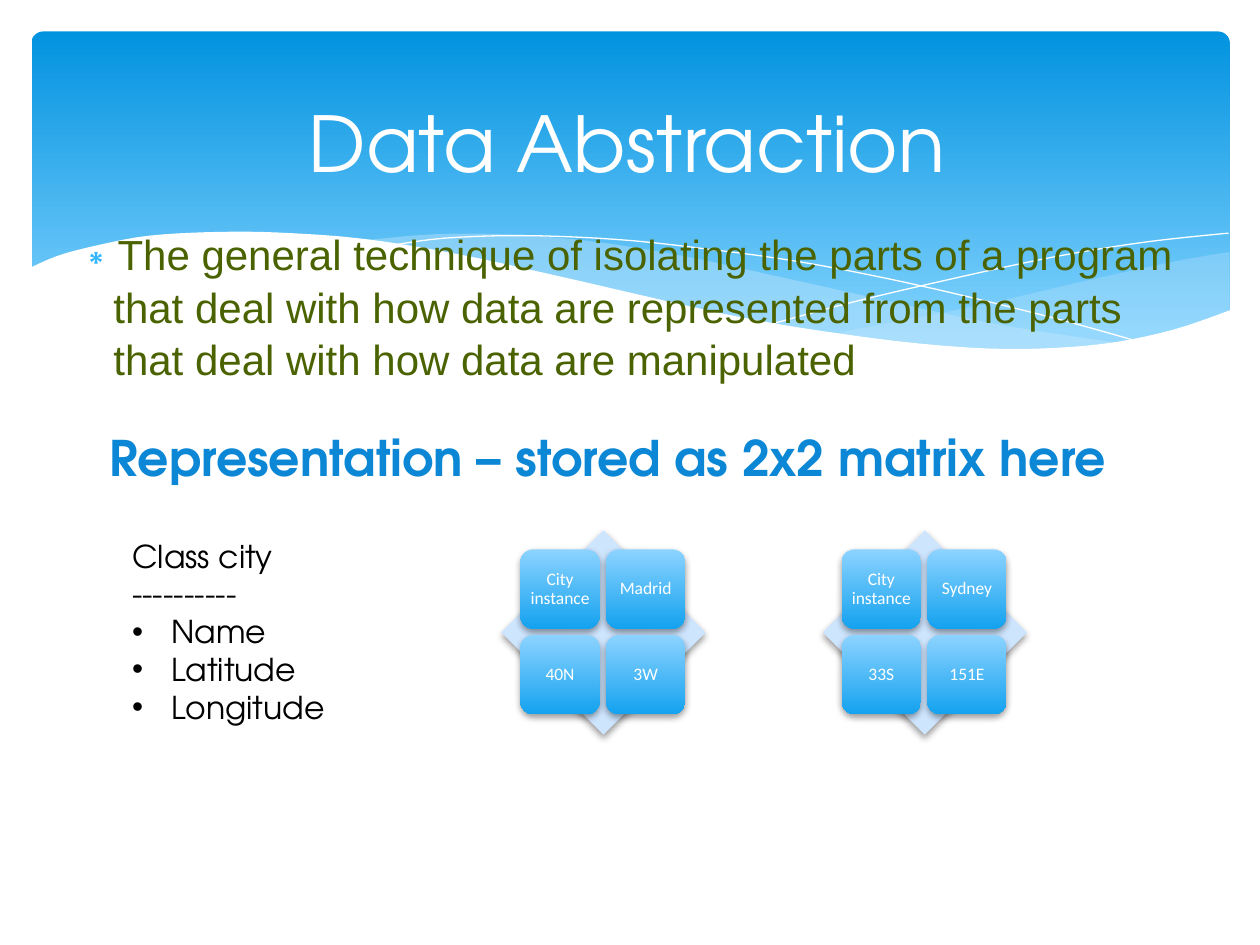
from lxml import etree
from pptx import Presentation
from pptx.dml.color import RGBColor
from pptx.enum.shapes import MSO_SHAPE
from pptx.enum.text import MSO_ANCHOR, MSO_AUTO_SIZE, PP_ALIGN
from pptx.oxml.ns import qn
from pptx.util import Inches, Pt

ROUNDED, DIAMOND = MSO_SHAPE.ROUNDED_RECTANGLE, MSO_SHAPE.DIAMOND
CENTER, LEFT = PP_ALIGN.CENTER, PP_ALIGN.LEFT
TOP, MIDDLE = MSO_ANCHOR.TOP, MSO_ANCHOR.MIDDLE
DISPLAY, BODY, SMALL = "TeX Gyre Adventor", "Arial", "Calibri"

COLORS = {
    "white": "FFFFFF", "black": "000000", "olive": "4A6300", "heading": "0B87D6",
    "bullet": "31B6FD", "wave": "C6E7FC", "diamond": "CEE5FE",
    "banner_top": "0293E0", "banner_bottom": "83D3FE",
    "tile_top": "8CD3FF", "tile_bottom": "14A2EF",
}

TITLE = "Data Abstraction"
DEFINITION = ("The general technique of isolating the parts of a program that deal with how data "
              "are represented from the parts that deal with how data are manipulated")
HEADING = "Representation – stored as 2x2 matrix here"
CLASS_HEADER = ["Class city", "----------"]
CLASS_FIELDS = ["Name", "Latitude", "Longitude"]
MATRICES = [  # left edge, cells row by row
    (3.98, ["City instance", "Madrid", "40N", "3W"]),
    (6.53, ["City instance", "Sydney", "33S", "151E"]),
]
MATRIX_TOP, MATRIX_SIZE = 4.21, 1.62
TILE_MARGIN, TILE_SIZE, TILE_STEP = 0.15, 0.63, 0.68

# Each wave is a list of smooth edges, joined by straight lines.
FILLED_WAVES = [  # edges, colour, opacity in percent
    ([[(9.76, 2), (9.35, 2.07), (8.61, 2.23), (7.79, 2.42), (6.61, 2.65)],
      [(6.61, 2.65), (7.05, 2.71), (7.57, 2.76), (8.14, 2.78), (8.72, 2.74),
       (9.21, 2.65), (9.76, 2.47)]], "wave", 29),
    ([[(8.93, 2.73), (8.07, 2.6), (7.41, 2.47), (6.29, 2.22), (5.41, 2.03), (4.65, 1.91),
       (3.99, 1.86), (3.44, 1.86), (2.86, 1.91)],
      [(2.86, 1.91), (3.62, 2.03), (4.49, 2.22), (5.3, 2.4), (6.01, 2.55), (6.8, 2.68),
       (7.48, 2.76), (8.18, 2.78), (8.93, 2.73)]], "wave", 40),
]
WAVE_LINES = [
    [(3.09, 1.95), (3.53, 1.89), (4.16, 1.87), (4.89, 1.9), (5.56, 1.97), (6.36, 2.08),
     (7.27, 2.26), (8.31, 2.51), (9.07, 2.72)],
    [(6.13, 2.57), (6.72, 2.41), (7.48, 2.23), (8.36, 2.04), (9.1, 1.92), (9.75, 1.85)],
]
WHITE_WAVE = [
    [(9.77, 2.46), (9.3, 2.62), (8.75, 2.73), (8.09, 2.77), (7.44, 2.74), (6.68, 2.65),
     (5.79, 2.5), (4.47, 2.2), (3.65, 2.02), (2.92, 1.9), (2.3, 1.85), (1.77, 1.84),
     (1.19, 1.87), (0.76, 1.95), (0.46, 2.03), (0.23, 2.13)],
    [(0.23, 3.29), (9.77, 3.29)],
]


def rgb(name):
    return RGBColor.from_string(COLORS[name])


def smooth(knots, steps=5):
    """Sample a Catmull-Rom curve through the knots."""
    if len(knots) < 3:
        return knots
    padded = [knots[0], *knots, knots[-1]]
    points = []
    for a, b, c, d in zip(padded, padded[1:], padded[2:], padded[3:]):
        for step in range(steps):
            t = step / steps
            points.append(tuple(
                0.5 * (2 * q + (r - p) * t + (2 * p - 5 * q + 4 * r - s) * t ** 2
                       + (3 * q - p - 3 * r + s) * t ** 3)
                for p, q, r, s in zip(a, b, c, d)))
    return points + [knots[-1]]


def add_curve(slide, edges, close):
    points = [(Inches(x), Inches(y)) for edge in edges for x, y in smooth(edge)]
    builder = slide.shapes.build_freeform(*points[0])
    builder.add_line_segments(points[1:], close=close)
    shape = builder.convert_to_shape()
    shape.shadow.inherit = False
    return shape


def add_filled_wave(slide, edges, color, opacity=100):
    shape = add_curve(slide, edges, True)
    shape.fill.solid()
    shape.fill.fore_color.rgb = rgb(color)
    shape.line.fill.background()
    if opacity < 100:
        color_element = shape.fill._xPr.find(qn("a:solidFill"))[0]
        etree.SubElement(color_element, qn("a:alpha"), val=str(opacity * 1000))


def add_wave_line(slide, knots):
    shape = add_curve(slide, [knots], False)
    shape.fill.background()
    shape.line.color.rgb = rgb("white")
    shape.line.width = Pt(0)


def add_preset(slide, kind, left, top, width, height, *colors):
    """Add a shape without outline; two colours make a gradient from top to bottom."""
    shape = slide.shapes.add_shape(kind, *map(Inches, (left, top, width, height)))
    shape.shadow.inherit = False
    shape.line.fill.background()
    if len(colors) == 1:
        shape.fill.solid()
        shape.fill.fore_color.rgb = rgb(colors[0])
    else:
        shape.fill.gradient()
        shape.fill.gradient_angle = 270
        for stop, color in zip(shape.fill.gradient_stops, colors):
            stop.color.rgb = rgb(color)
    return shape


def add_shadow(shape):
    effects = shape._element.spPr.find(qn("a:effectLst"))
    shadow = etree.SubElement(effects, qn("a:outerShdw"), blurRad=str(Pt(4)), dist=str(Pt(2)),
                              dir="5400000", rotWithShape="0")
    color = etree.SubElement(shadow, qn("a:srgbClr"), val=COLORS["black"])
    etree.SubElement(color, qn("a:alpha"), val="38000")


def write(shape, lines, font, size, color, bold=False, align=LEFT, anchor=TOP):
    frame = shape.text_frame
    frame.text = "\n".join(lines)
    frame.word_wrap = True
    frame.auto_size = MSO_AUTO_SIZE.NONE
    frame.vertical_anchor = anchor
    for paragraph in frame.paragraphs:
        paragraph.alignment = align
        paragraph.font.name, paragraph.font.size = font, Pt(size)
        paragraph.font.bold = bold
        paragraph.font.color.rgb = rgb(color)
    return frame


def set_bullet(paragraph, character, indent, color):
    properties = paragraph._p.get_or_add_pPr()
    properties.set("marL", str(Inches(indent)))
    properties.set("indent", str(-Inches(indent)))
    bullet_color = etree.SubElement(properties, qn("a:buClr"))
    etree.SubElement(bullet_color, qn("a:srgbClr"), val=COLORS[color])
    etree.SubElement(properties, qn("a:buFont"), typeface=BODY)
    etree.SubElement(properties, qn("a:buChar"), char=character)


def place(shape, left, top, width, height):
    shape.left, shape.top, shape.width, shape.height = map(Inches, (left, top, width, height))
    shape._element.getparent().append(shape._element)  # bring to front


def add_text_box(slide, left, top, width, height, *text, **style):
    box = slide.shapes.add_textbox(*map(Inches, (left, top, width, height)))
    return write(box, *text, **style)


def add_matrix(slide, left, cells):
    add_shadow(add_preset(slide, DIAMOND, left, MATRIX_TOP, MATRIX_SIZE, MATRIX_SIZE, "diamond"))
    for index, label in enumerate(cells):
        row, column = divmod(index, 2)
        tile = add_preset(slide, ROUNDED, left + TILE_MARGIN + column * TILE_STEP,
                          MATRIX_TOP + TILE_MARGIN + row * TILE_STEP,
                          TILE_SIZE, TILE_SIZE, "tile_top", "tile_bottom")
        add_shadow(tile)
        frame = write(tile, [label], SMALL, 10, "white", align=CENTER, anchor=MIDDLE)
        frame.margin_left = frame.margin_right = Inches(0.04)
        frame.margin_top = frame.margin_bottom = Inches(0.04)
        frame.paragraphs[0].line_spacing = 0.9


def main():
    presentation = Presentation()
    presentation.slide_width, presentation.slide_height = Inches(10), Inches(7.5)
    slide = presentation.slides.add_slide(presentation.slide_layouts[1])

    banner = add_preset(slide, ROUNDED, 0.25, 0.25, 9.51, 2.7, "banner_top", "banner_bottom")
    banner.adjustments[0] = 0.034
    banner.fill.gradient_stops[1].position = 0.9
    for wave in FILLED_WAVES:
        add_filled_wave(slide, *wave)
    for knots in WAVE_LINES:
        add_wave_line(slide, knots)
    add_filled_wave(slide, WHITE_WAVE, "white")

    title, body = slide.shapes.title, slide.placeholders[1]
    place(body, 0.5, 1.75, 9.09, 5.36)
    definition = write(body, [DEFINITION], BODY, 24, "olive").paragraphs[0]
    set_bullet(definition, "∗", 0.3, "bullet")
    definition.line_spacing = 1.04
    place(title, 1.14, 0.5, 7.68, 1.25)
    write(title, [TITLE], DISPLAY, 44, "white", align=CENTER, anchor=MIDDLE)

    add_text_box(slide, 0.77, 3.34, 8.25, 0.57, [HEADING], DISPLAY, 28, "heading", bold=True)
    class_box = add_text_box(slide, 0.95, 4.21, 2.55, 1.62, CLASS_HEADER + CLASS_FIELDS,
                             DISPLAY, 18, "black")
    for paragraph in class_box.paragraphs[len(CLASS_HEADER):]:
        set_bullet(paragraph, "•", 0.31, "black")
    for left, cells in MATRICES:
        add_matrix(slide, left, cells)

    presentation.save("out.pptx")


if __name__ == "__main__":
    main()
